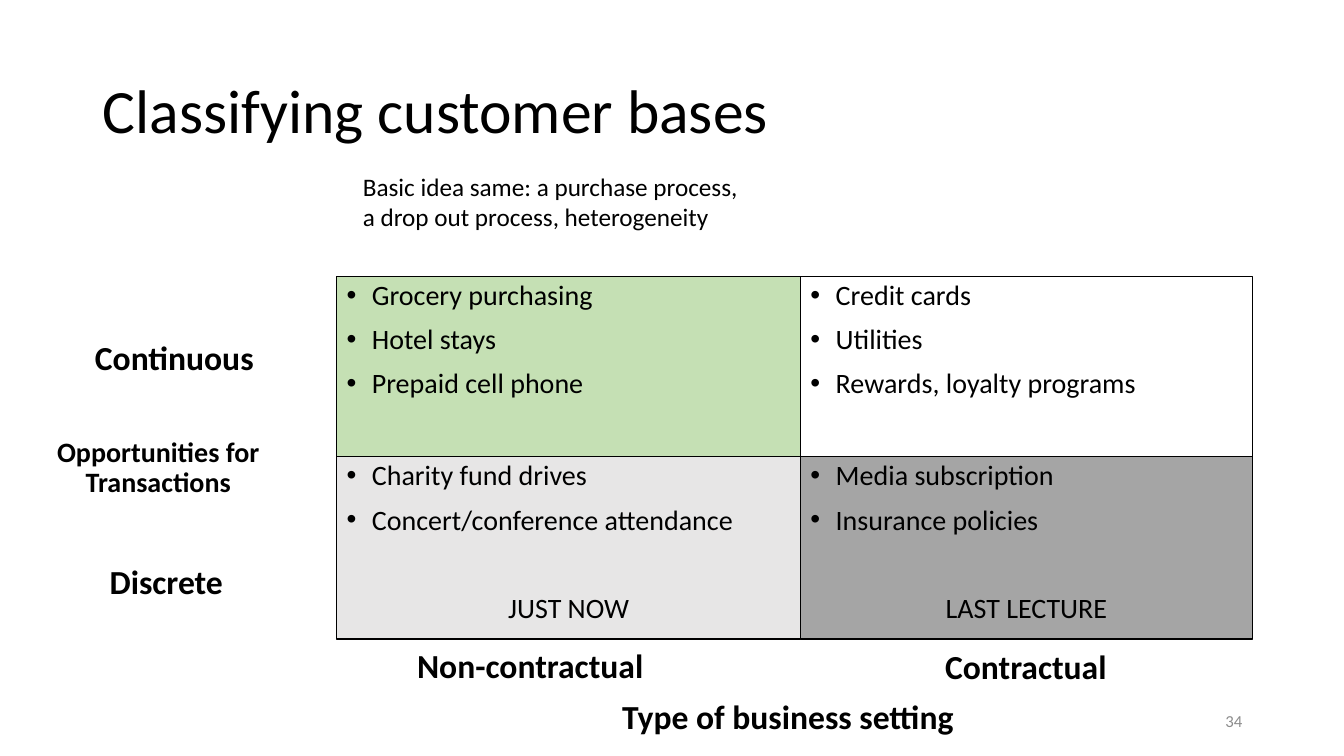
"""Build the slide that sorts customer bases into a two-by-two grid."""
import pptx
import pptx.util
import pptx.dml.color
import pptx.enum.shapes
import pptx.enum.text
import lxml.etree
from dataclasses import dataclass

Inches = pptx.util.Inches
Pt = pptx.util.Pt
Align = pptx.enum.text.PP_ALIGN
Anchor = pptx.enum.text.MSO_ANCHOR


@dataclass
class Theme:
    """Font, colours and type sizes."""
    font: str = "Calibri"
    ink: str = "000000"
    mute: str = "8C8C8C"
    green: str = "C5E0B4"
    white: str = "FFFFFF"
    pale: str = "E7E6E6"
    gray: str = "A5A5A5"
    title: int = 44
    label: int = 24
    body: int = 20
    note: int = 18
    small: int = 12


theme = Theme()
color = pptx.dml.color.RGBColor.from_string


def style(para, size, ink=theme.ink, bold=False, align=Align.LEFT, lead=0.9, gap=0, mark=False):
    """Set spacing, bullet and font of one paragraph."""
    para.alignment = align
    para.line_spacing = lead
    para.space_before = Pt(gap)
    if mark:
        props = para._p.get_or_add_pPr()
        props.set("marL", str(Inches(0.25)))
        props.set("indent", str(Inches(-0.25)))
        lxml.etree.SubElement(props, pptx.oxml.ns.qn("a:buFont")).set("typeface", "Arial")
        lxml.etree.SubElement(props, pptx.oxml.ns.qn("a:buChar")).set("char", "•")
    para.font.name = theme.font
    para.font.size = Pt(size)
    para.font.bold = bold
    para.font.color.rgb = color(ink)


def write(text, place, anchor, size, **look):
    """Add one wrapped text box and return its frame."""
    frame = slide.shapes.add_textbox(*map(Inches, place)).text_frame
    frame.word_wrap = True
    frame.vertical_anchor = anchor
    frame.text = text
    style(frame.paragraphs[0], size, **look)
    return frame


deck = pptx.Presentation()
deck.slide_width = Inches(13.33)
deck.slide_height = Inches(7.5)
slide = deck.slides.add_slide(deck.slide_layouts[6])

write("Classifying customer bases", (0.92, 0.4, 11.5, 1.45), Anchor.MIDDLE, theme.title)

cols = [(3.34, 4.6), (7.94, 4.48)]
rows = [2.74, 4.53]
cells = [
    (0, 0, theme.green, ["Grocery purchasing", "Hotel stays", "Prepaid cell phone"], None),
    (0, 1, theme.white, ["Credit cards", "Utilities", "Rewards, loyalty programs"], None),
    (1, 0, theme.pale, ["Charity fund drives", "Concert/conference attendance"], "JUST NOW"),
    (1, 1, theme.gray, ["Media subscription", "Insurance policies"], "LAST LECTURE"),
]
for row, col, fill, items, foot in cells:
    left, width = cols[col]
    cell = slide.shapes.add_shape(
        pptx.enum.shapes.MSO_SHAPE.RECTANGLE,
        Inches(left), Inches(rows[row]), Inches(width), Inches(1.81))
    cell.shadow.inherit = False
    cell.fill.solid()
    cell.fill.fore_color.rgb = color(fill)
    cell.line.color.rgb = color(theme.ink)
    cell.line.width = Pt(1)
    frame = cell.text_frame
    frame.word_wrap = True
    frame.vertical_anchor = Anchor.TOP
    frame.text = "\n".join(items)
    for para in frame.paragraphs:
        style(para, theme.body, gap=10, mark=True)
    if foot:
        para = frame.add_paragraph()
        para.text = foot
        style(para, theme.body, align=Align.CENTER, gap=41.5)

labels = [
    ("Non-contractual", 2.82, 5.95, 5.64, theme.label, 0.86),
    ("Contractual", 7.34, 5.96, 5.67, theme.label, 0.1),
    ("Type of business setting", 4.98, 6.46, 5.67, theme.label, 0.1),
    ("Opportunities for Transactions", 0, 4.1, 3.14, theme.body, 0.1),
    ("Continuous", -0.88, 2.9, 5.64, theme.label, 0.52),
    ("Discrete", -0.73, 5.12, 5.64, theme.label, 0.98),
]
for text, left, top, width, size, inset in labels:
    frame = write(text, (left, top, width, 0.9), Anchor.BOTTOM, size,
                  bold=True, align=Align.CENTER, gap=10)
    frame.margin_right = Inches(inset)

write("Basic idea same: a purchase process, a drop out process, heterogeneity",
      (3.5, 1.65, 4.05, 0.71), Anchor.TOP, theme.note, lead=1.0)
write("34", (9.42, 6.95, 3, 0.4), Anchor.MIDDLE, theme.small,
      ink=theme.mute, align=Align.RIGHT, lead=1.0)

deck.save("out.pptx")
